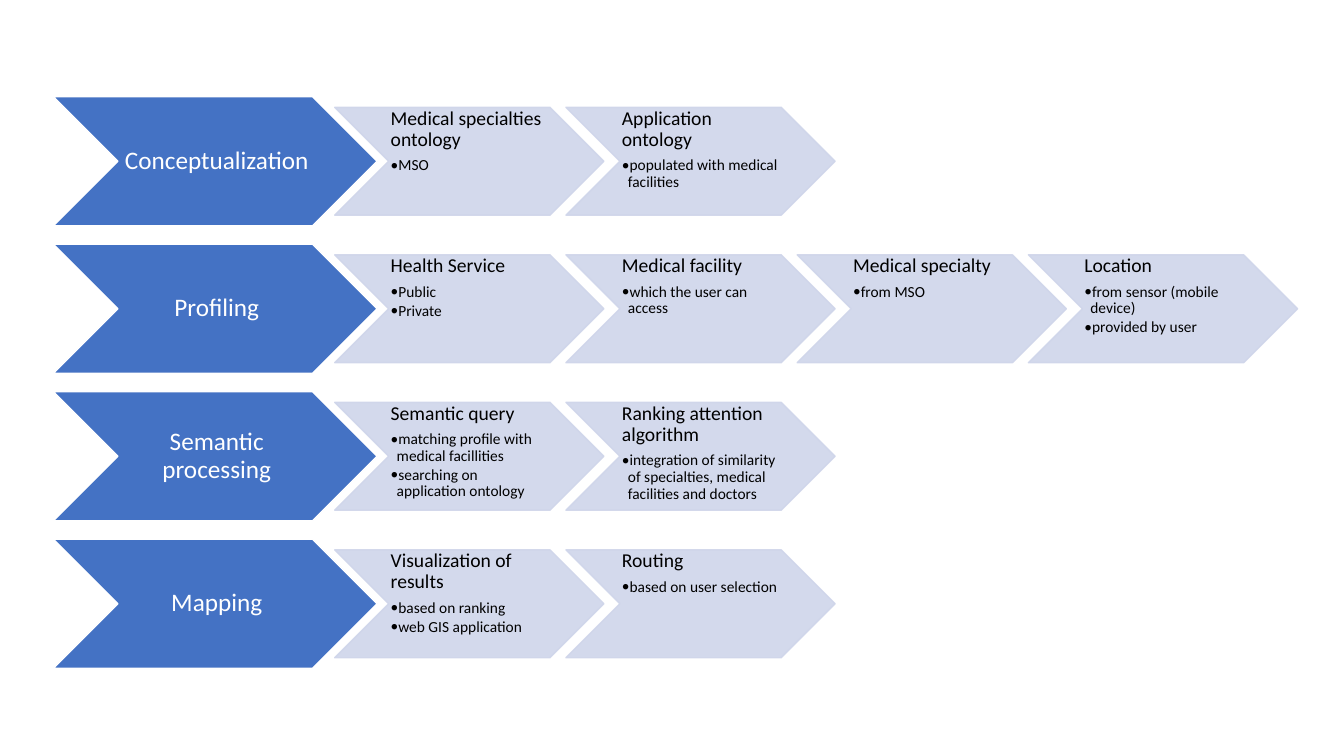
"""Build a slide with four process stages, each followed by a row of step chevrons."""
from lxml import etree
from pptx import Presentation
from pptx.dml.color import RGBColor
from pptx.enum.shapes import MSO_SHAPE
from pptx.enum.text import MSO_ANCHOR, PP_ALIGN
from pptx.oxml.ns import qn
from pptx.util import Inches, Pt

STAGES = [
    ("Conceptualization", [
        ("Medical specialties ontology", ["MSO"]),
        ("Application ontology", ["populated with medical facilities"]),
    ]),
    ("Profiling", [
        ("Health Service", ["Public", "Private"]),
        ("Medical facility", ["which the user can access"]),
        ("Medical specialty", ["from MSO"]),
        ("Location", ["from sensor (mobile device)", "provided by user"]),
    ]),
    ("Semantic processing", [
        ("Semantic query", ["matching profile with medical facillities",
                            "searching on application ontology"]),
        ("Ranking attention algorithm",
         ["integration of similarity of specialties, medical facilities and doctors"]),
    ]),
    ("Mapping", [
        ("Visualization of results", ["based on ranking", "web GIS application"]),
        ("Routing", ["based on user selection"]),
    ]),
]

COLORS = {"stage": "4472C4", "step": "CFD5EA", "white": "FFFFFF", "black": "000000"}
FONT = "Calibri"
CHEVRON = MSO_SHAPE.CHEVRON
LEFT, CENTER = PP_ALIGN.LEFT, PP_ALIGN.CENTER
TOP, MIDDLE = MSO_ANCHOR.TOP, MSO_ANCHOR.MIDDLE

STAGE_LEFT, STAGE_WIDTH, STAGE_HEIGHT = 0.53, 3.21, 1.28
STEP_LEFT, STEP_WIDTH, STEP_HEIGHT = 3.32, 2.67, 1.07
FIRST_TOP, LAST_TOP = 0.96, 5.35
LAST_STEP_LEFT = 10.2
BULLET_INDENT = 0.06


def add_chevron(slide, left, top, width, height, fill, line, opacity=None):
    chevron = slide.shapes.add_shape(
        CHEVRON, Inches(left), Inches(top), Inches(width), Inches(height))
    chevron.shadow.inherit = False
    chevron.fill.solid()
    chevron.fill.fore_color.rgb = RGBColor.from_string(COLORS[fill])
    chevron.line.color.rgb = RGBColor.from_string(COLORS[line])
    chevron.line.width = Pt(1)
    if opacity is not None:
        for color in chevron.element.spPr.iter(qn("a:srgbClr")):
            etree.SubElement(color, qn("a:alpha"), val=str(opacity * 1000))
    return chevron


def set_frame(chevron, anchor, left_inset):
    frame = chevron.text_frame
    frame.word_wrap = True
    frame.vertical_anchor = anchor
    frame.margin_left, frame.margin_right = Inches(left_inset), 0
    frame.margin_top = frame.margin_bottom = Inches(0.01)
    return frame


def write(paragraph, text, size, color, align=LEFT, after=0.35, bullet=False):
    if bullet:
        paragraph.level = 1
        properties = paragraph._p.get_or_add_pPr()
        properties.set("marL", str(Inches(BULLET_INDENT)))
        properties.set("indent", str(-Inches(BULLET_INDENT)))
        etree.SubElement(properties, qn("a:buFont"), typeface=FONT)
        etree.SubElement(properties, qn("a:buChar"), char="•")
    paragraph.alignment = align
    paragraph.line_spacing = 0.9
    paragraph.space_after = Pt(size * after)
    run = paragraph.add_run()
    run.text = text
    for font in (paragraph.font, run.font):
        font.name = FONT
        font.size = Pt(size)
        font.color.rgb = RGBColor.from_string(COLORS[color])
    etree.SubElement(paragraph._p, qn("a:endParaRPr"), sz=str(size * 100))


def add_stage(slide, name, top):
    stage = add_chevron(slide, STAGE_LEFT, top, STAGE_WIDTH, STAGE_HEIGHT, "stage", "white")
    frame = set_frame(stage, MIDDLE, 0.03)
    write(frame.paragraphs[0], name, 18, "white", align=CENTER)


def add_step(slide, title, details, left, top):
    step = add_chevron(slide, left, top, STEP_WIDTH, STEP_HEIGHT, "step", "step", opacity=90)
    frame = set_frame(step, TOP, 0.02)
    write(frame.paragraphs[0], title, 14, "black")
    for detail in details:
        write(frame.add_paragraph(), detail, 11, "black", after=0.15, bullet=True)


def main():
    deck = Presentation()
    deck.slide_width, deck.slide_height = Inches(13.33), Inches(7.5)
    slide = deck.slides.add_slide(deck.slide_layouts[6])

    most_steps = max(len(steps) for _, steps in STAGES)
    row_pitch = (LAST_TOP - FIRST_TOP) / (len(STAGES) - 1)
    step_pitch = (LAST_STEP_LEFT - STEP_LEFT) / (most_steps - 1)
    step_drop = (STAGE_HEIGHT - STEP_HEIGHT) / 2

    for row, (name, steps) in enumerate(STAGES):
        top = FIRST_TOP + row * row_pitch
        add_stage(slide, name, top)
        for column, (title, details) in enumerate(steps):
            add_step(slide, title, details, STEP_LEFT + column * step_pitch, top + step_drop)

    deck.save("out.pptx")


if __name__ == "__main__":
    main()
